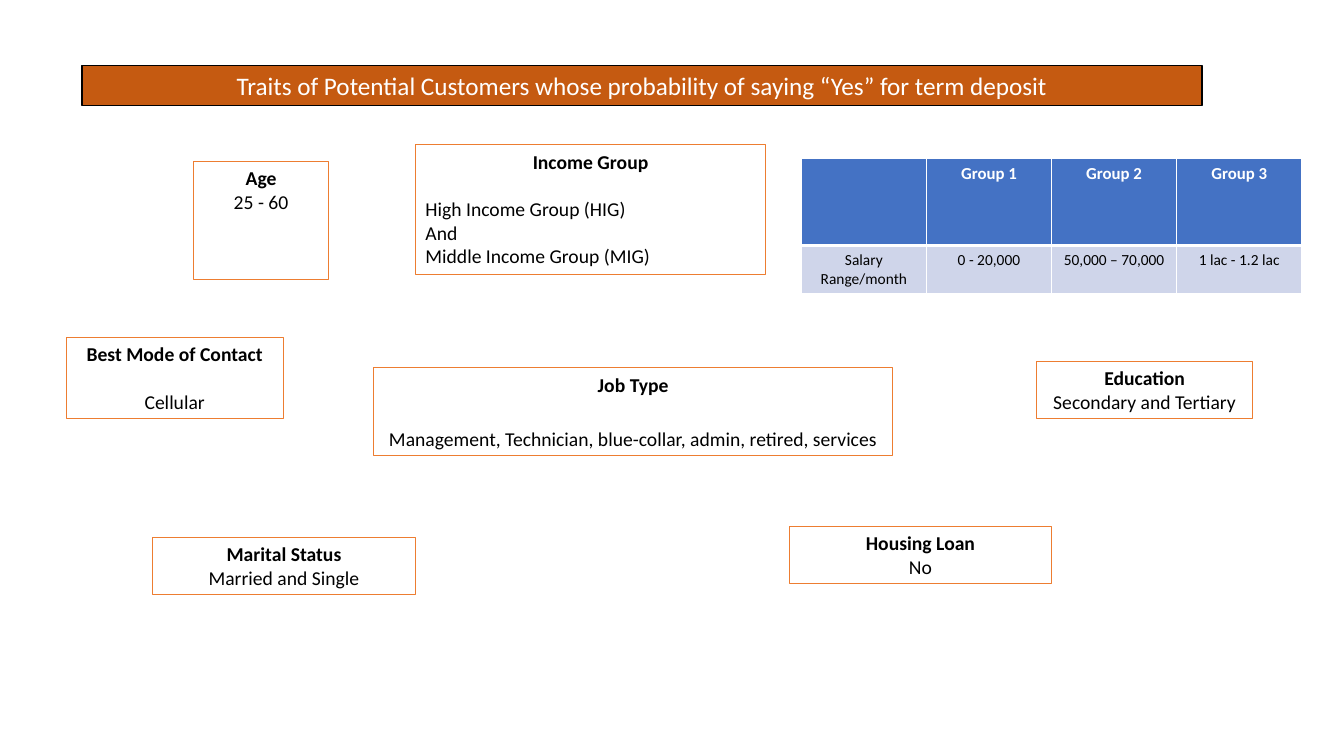
from pptx import Presentation
from pptx.dml.color import RGBColor
from pptx.enum.shapes import MSO_SHAPE as Shape
from pptx.enum.text import MSO_ANCHOR as Anchor, PP_ALIGN as Align
from pptx.oxml.ns import qn
from pptx.util import Pt
from lxml.etree import SubElement

FONT = "Calibri"
WHITE = RGBColor(0xFF, 0xFF, 0xFF)
BLACK = RGBColor(0, 0, 0)
RUST = RGBColor(0xC5, 0x5A, 0x11)
ORANGE = RGBColor(0xED, 0x7D, 0x31)
BLUE = RGBColor(0x44, 0x72, 0xC4)
PALE = RGBColor(0xCF, 0xD5, 0xEA)

TITLE = "Traits of Potential Customers whose probability of saying “Yes” for term deposit"
TRAITS = [
    ((138.3, 115.2, 96.5, 84.8), "Age", ["25 - 60"], 0, Align.CENTER),
    ((296.8, 103.4, 250.2, 92.4), "Income Group",
     ["High Income Group (HIG)", "And", "Middle Income Group (MIG)"], 17, Align.LEFT),
    ((47.4, 241, 154.8, 58.2), "Best Mode of Contact", ["Cellular"], 17, Align.CENTER),
    ((266.8, 262.5, 371, 63.2), "Job Type",
     ["Management, Technician, blue-collar, admin, retired, services"], 22, Align.CENTER),
    ((740.2, 258, 154.8, 41.2), "Education", ["Secondary and Tertiary"], 0, Align.CENTER),
    ((109.2, 383.8, 187.4, 41.2), "Marital Status", ["Married and Single"], 0, Align.CENTER),
    ((563.8, 375.8, 187.4, 41.2), "Housing Loan", ["No"], 0, Align.CENTER),
]
SALARY = [
    ["", "Group 1", "Group 2", "Group 3"],
    ["Salary Range/month", "0 - 20,000", "50,000 – 70,000", "1 lac - 1.2 lac"],
]
HEIGHTS = [62.4, 34]


def add_run(para, text, size, color, bold=False, align=Align.CENTER):
    para.alignment = align
    run = para.add_run()
    run.text = text
    font = run.font
    font.name, font.size, font.bold = FONT, Pt(size), bold
    font.color.rgb = color


def add_box(slide, place, line, width, fill=None):
    box = slide.shapes.add_shape(Shape.RECTANGLE, *map(Pt, place))
    box.shadow.inherit = False
    box.line.color.rgb = line
    box.line.width = Pt(width)
    if fill is None:
        box.fill.background()
    else:
        box.fill.solid()
        box.fill.fore_color.rgb = fill
    frame = box.text_frame
    frame.word_wrap = True
    frame.vertical_anchor = Anchor.TOP
    return frame


def add_trait(slide, place, head, lines, gap, align):
    frame = add_box(slide, place, ORANGE, 0.75)
    add_run(frame.paragraphs[0], head, 14, BLACK, True)
    for i, text in enumerate(lines):
        para = frame.add_paragraph()
        para.space_before = Pt(gap if i == 0 else 0)
        add_run(para, text, 14, BLACK, align=align)


def add_edge(cell, side, width):
    edge = SubElement(cell._tc.get_or_add_tcPr(), qn(f"a:ln{side}"), w=str(Pt(width)))
    fill = SubElement(edge, qn("a:solidFill"))
    SubElement(fill, qn("a:srgbClr"), val=str(WHITE))


def fill_cell(cell, text, top):
    widths = {"L": 1, "R": 1, "T": 1 if top else 3, "B": 3 if top else 1}
    for side, width in widths.items():
        add_edge(cell, side, width)
    cell.fill.solid()
    cell.fill.fore_color.rgb = BLUE if top else PALE
    if text:
        size, color = (12, WHITE) if top else (11, BLACK)
        add_run(cell.text_frame.paragraphs[0], text, size, color, top)


def add_grid(slide, left, top, width):
    rows, cols = len(SALARY), len(SALARY[0])
    grid = slide.shapes.add_table(
        rows, cols, Pt(left), Pt(top), Pt(width), Pt(sum(HEIGHTS))).table
    for col in grid.columns:
        col.width = Pt(width / cols)
    for r, texts in enumerate(SALARY):
        grid.rows[r].height = Pt(HEIGHTS[r])
        for c, text in enumerate(texts):
            fill_cell(grid.cell(r, c), text, r == 0)


def main():
    deck = Presentation()
    deck.slide_width, deck.slide_height = Pt(960), Pt(540)
    slide = deck.slides.add_slide(deck.slide_layouts[6])
    title = add_box(slide, (58.6, 46.6, 800, 29), BLACK, 1, RUST)
    add_run(title.paragraphs[0], TITLE, 18, WHITE)
    for trait in TRAITS:
        add_trait(slide, *trait)
    add_grid(slide, 572.4, 113, 357.6)
    deck.save("out.pptx")


if __name__ == "__main__":
    main()
